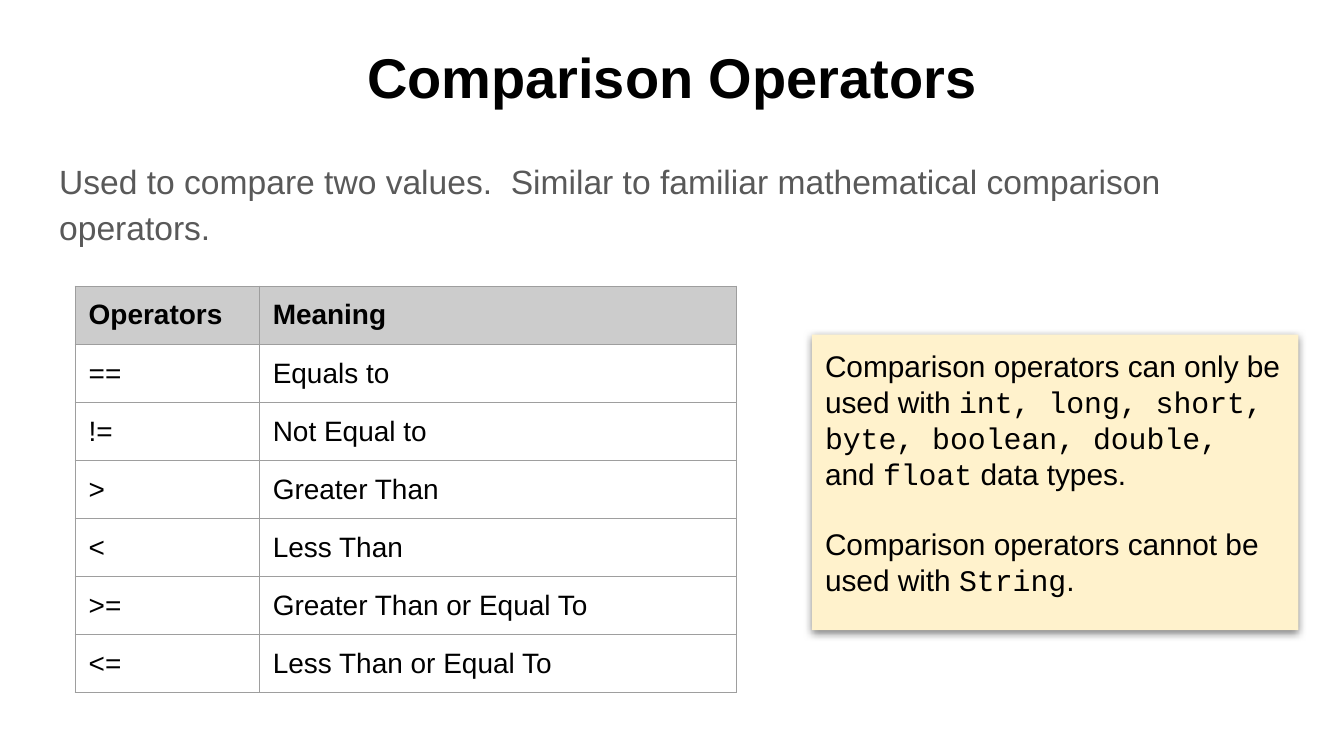
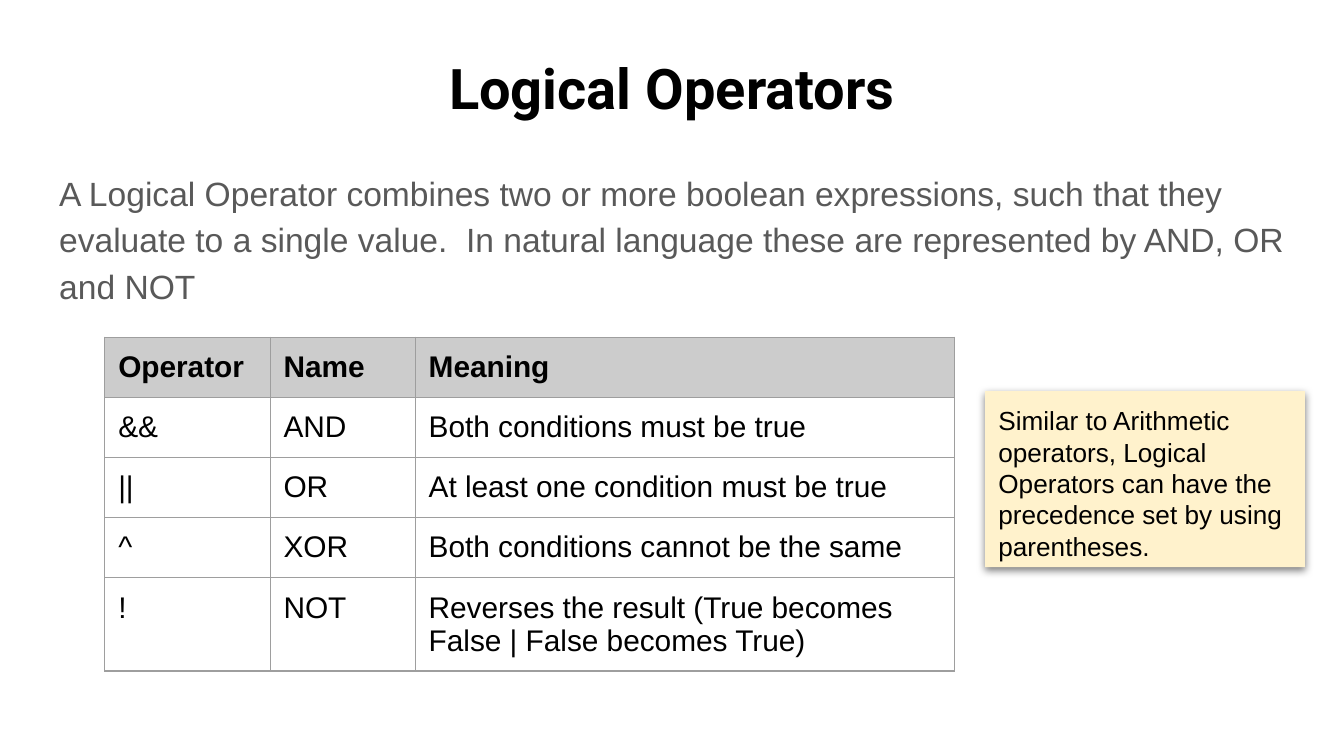
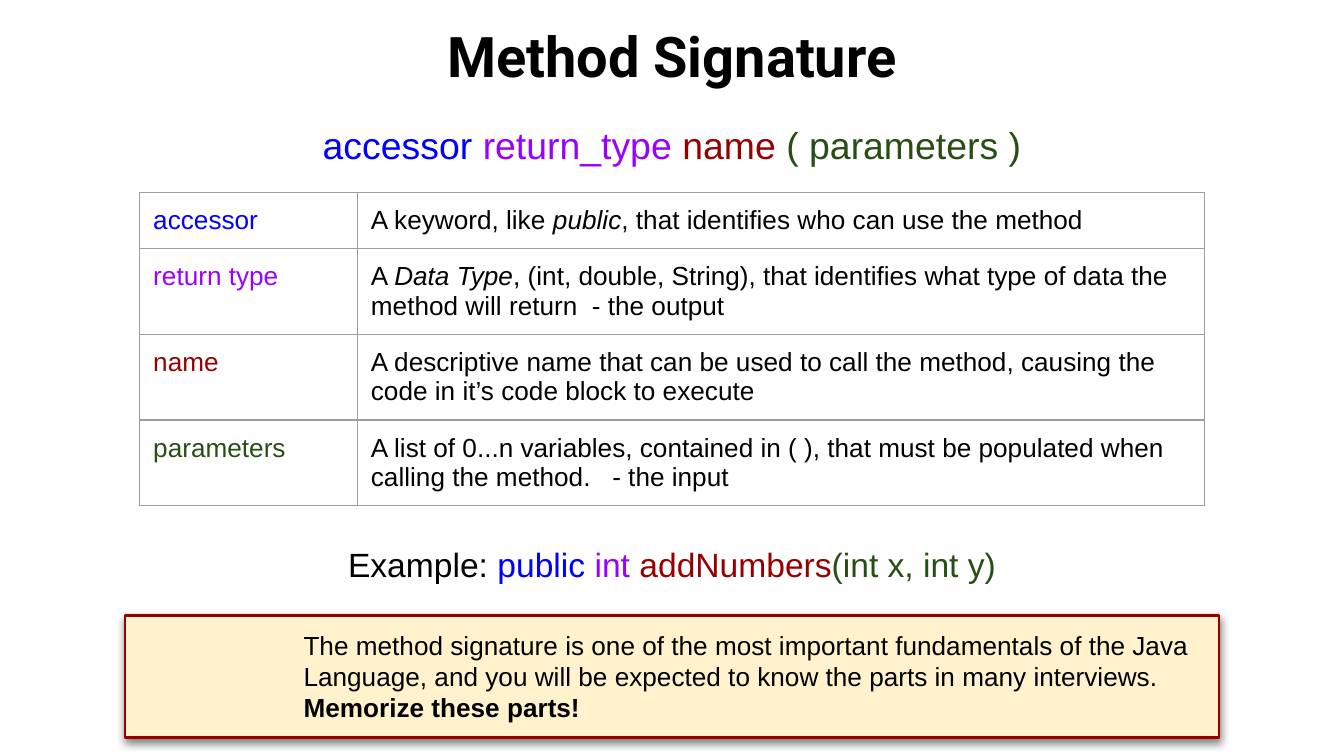
from lxml import etree
from pptx import Presentation
from pptx import util as u
from pptx.dml.color import RGBColor
from pptx.enum import shapes, text
from pptx.oxml import ns

BLACK = RGBColor(0x00, 0x00, 0x00)
GREY = RGBColor(0x59, 0x59, 0x59)
RULE = RGBColor(0x9E, 0x9E, 0x9E)
HEAD = RGBColor(0xCC, 0xCC, 0xCC)
CREAM = RGBColor(0xFF, 0xF2, 0xCC)
BLUE = RGBColor(0x00, 0x00, 0xFF)
PURPLE = RGBColor(0x99, 0x00, 0xFF)
RED = RGBColor(0x98, 0x00, 0x00)
GREEN = RGBColor(0x27, 0x4E, 0x13)

SANS, MONO, ROBOTO = "Arial", "Courier New", "Roboto"
LEFT, WIDTH = 0.34, 9.32
ROW = 0.42
PAD = u.Inches(0.1)
CENTER = text.PP_ALIGN.CENTER


def place(box):
    """Turn a box in inches into lengths."""
    return [u.Inches(side) for side in box]


def code(words):
    """Return a span in the code font."""
    return words, {"name": MONO}


def tint(words, color):
    """Return a span in the given colour."""
    return words, {"color": color}


def slant(words):
    """Return a span in italics."""
    return words, {"italic": True}


def write(para, spans, size, name=SANS, color=BLACK, bold=False):
    """Fill a paragraph with spans, each plain text or text with its style."""
    for span in [spans] if isinstance(spans, str) else spans:
        words, style = (span, {}) if isinstance(span, str) else span
        run = para.add_run()
        run.text = words
        font = run.font
        font.size = u.Pt(size)
        font.name = style.get("name", name)
        font.color.rgb = style.get("color", color)
        font.bold = style.get("bold", bold)
        font.italic = style.get("italic", False)


def frame(shape):
    """Give a shape the shared text margins and return its frame."""
    area = shape.text_frame
    area.word_wrap = True
    area.auto_size = text.MSO_AUTO_SIZE.NONE
    area.vertical_anchor = text.MSO_ANCHOR.TOP
    area.margin_left = area.margin_right = PAD
    area.margin_top = area.margin_bottom = PAD
    return area


def move(shape, box):
    """Move and size a shape to its box."""
    shape.left, shape.top, shape.width, shape.height = place(box)


def start(deck, title, top, name=ROBOTO):
    """Add a slide with its centred title."""
    slide = deck.slides.add_slide(deck.slide_layouts[1])
    move(slide.shapes.title, (LEFT, top, WIDTH, 0.63))
    para = frame(slide.shapes.title).paragraphs[0]
    para.alignment = CENTER
    write(para, title, 30, name, bold=True)
    return slide


def intro(slide, top, height, spans, size=18, color=GREY, align=None):
    """Fill the body placeholder with one paragraph without a bullet."""
    body = slide.placeholders[1]
    move(body, (LEFT, top, WIDTH, height))
    para = frame(body).paragraphs[0]
    props = para._p.get_or_add_pPr()
    props.set("marL", "0")
    props.set("indent", "0")
    etree.SubElement(props, ns.qn("a:buNone"))
    para.alignment = align
    para.line_spacing = 1.15
    para.space_before = u.Pt(0)
    write(para, spans, size, color=color)


def edge(cell):
    """Draw a thin grey border on the four sides of a cell."""
    props = cell._tc.get_or_add_tcPr()
    for side in "LRTB":
        line = etree.SubElement(props, ns.qn(f"a:ln{side}"), w=str(u.Pt(0.75)))
        fill = etree.SubElement(line, ns.qn("a:solidFill"))
        etree.SubElement(fill, ns.qn("a:srgbClr"), val=str(RULE))


def grid(slide, left, top, widths, rows, size, head=True):
    """Add a bordered table, with a grey header row if asked."""
    box = (left, top, sum(widths), ROW * len(rows))
    table = slide.shapes.add_table(len(rows), len(widths), *place(box)).table
    table.first_row = table.horz_banding = False
    for column, width in zip(table.columns, widths):
        column.width = u.Inches(width)
    for r, row in enumerate(rows):
        table.rows[r].height = u.Inches(ROW)
        for c, spans in enumerate(row):
            cell = table.cell(r, c)
            cell.margin_left = cell.margin_right = PAD
            cell.margin_top = cell.margin_bottom = PAD
            edge(cell)
            top_row = head and r == 0
            if top_row:
                cell.fill.solid()
                cell.fill.fore_color.rgb = HEAD
            else:
                cell.fill.background()
            write(cell.text_frame.paragraphs[0], spans, size, bold=top_row)


def shade(shape):
    """Drop a soft shadow straight below a shape."""
    shape.shadow.inherit = False
    effects = shape._element.spPr.find(ns.qn("a:effectLst"))
    drop = etree.SubElement(effects, ns.qn("a:outerShdw"), blurRad=str(u.Pt(4.5)),
                            dist=str(u.Pt(1.5)), dir="5400000", algn="bl", rotWithShape="0")
    color = etree.SubElement(drop, ns.qn("a:srgbClr"), val=str(BLACK))
    etree.SubElement(color, ns.qn("a:alpha"), val="50000")


def card(slide, box, line=None):
    """Add a cream card with a shadow and an optional outline."""
    shape = slide.shapes.add_shape(shapes.MSO_SHAPE.RECTANGLE, *place(box))
    shape.fill.solid()
    shape.fill.fore_color.rgb = CREAM
    if line is None:
        shape.line.fill.background()
    else:
        shape.line.color.rgb = line
        shape.line.width = u.Pt(1.5)
    shade(shape)
    return shape


def note(slide, box, paras, size):
    """Add a card holding left-aligned paragraphs."""
    area = frame(card(slide, box))
    for i, spans in enumerate(paras):
        para = area.add_paragraph() if i else area.paragraphs[0]
        para.alignment = text.PP_ALIGN.LEFT
        if i:
            para.space_before = u.Pt(size * 1.15)
        write(para, spans, size)


def label(slide, box, spans, size, align=None, spacing=None):
    """Add a text box of one paragraph."""
    para = frame(slide.shapes.add_textbox(*place(box))).paragraphs[0]
    para.alignment = align
    para.line_spacing = spacing
    write(para, spans, size)


def compare(deck):
    """Build the slide on comparison operators."""
    slide = start(deck, "Comparison Operators", 0.22, SANS)
    intro(slide, 1.05, 0.87, "Used to compare two values.  Similar to familiar "
          "mathematical comparison operators.")
    grid(slide, 0.56, 2.13, (1.37, 3.55), [
        ("Operators", "Meaning"),
        ("==", "Equals to"),
        ("!=", "Not Equal to"),
        (">", "Greater Than"),
        ("<", "Less Than"),
        (">=", "Greater Than or Equal To"),
        ("<=", "Less Than or Equal To"),
    ], 15)
    note(slide, (6.04, 2.49, 3.62, 2.2), [
        ["Comparison operators can only be used with ",
         code("int, long, short, byte, boolean, double, "),
         "and ", code("float"), " data types."],
        ["Comparison operators cannot be used with ", code("String"), "."],
    ], 16)


def logic(deck):
    """Build the slide on logical operators."""
    slide = start(deck, "Logical Operators", 0.3)
    intro(slide, 1.14, 1.19, "A Logical Operator combines two or more boolean expressions, "
          "such that they evaluate to a single value.  In natural language these are "
          "represented by AND, OR and NOT")
    grid(slide, 0.78, 2.51, (1.23, 1.08, 4.01), [
        ("Operator", "Name", "Meaning"),
        ("&&", "AND", "Both conditions must be true"),
        ("||", "OR", "At least one condition must be true"),
        ("^", "XOR", "Both conditions cannot be the same"),
        ("!", "NOT", "Reverses the result (True becomes False | False becomes True)"),
    ], 16)
    note(slide, (7.33, 2.91, 2.38, 1.31), [
        "Similar to Arithmetic operators, Logical Operators can have the precedence "
        "set by using parentheses.",
    ], 14)


def method(deck):
    """Build the slide on the parts of a method signature."""
    slide = start(deck, "Method Signature", 0.06)
    intro(slide, 0.76, 3.23, [
        tint("accessor ", BLUE), tint("return_type ", PURPLE),
        tint("name ", RED), tint("( parameters )", GREEN),
    ], 20, align=CENTER)
    grid(slide, 1.04, 1.43, (1.62, 6.3), [
        ([tint("accessor", BLUE)],
         ["A keyword, like ", slant("public"), ", that identifies who can use the method"]),
        ([tint("return type", PURPLE)],
         ["A ", slant("Data Type"), ", (int, double, String), that identifies what type "
          "of data the method will return  - the output"]),
        ([tint("name", RED)],
         "A descriptive name that can be used to call the method, causing the code in "
         "it’s code block to execute"),
        ([tint("parameters", GREEN)],
         "A list of 0...n variables, contained in ( ), that must be populated when "
         "calling the method.   - the input"),
    ], 14, head=False)
    card(slide, (0.93, 4.58, 8.14, 0.91), RED)
    label(slide, (2.16, 4.58, 6.85, 0.91), [
        "The method signature is one of the most important fundamentals of the Java "
        "Language, and you will be expected to know the parts in many interviews. ",
        ("Memorize these parts!", {"bold": True}),
    ], 14)
    label(slide, (0.99, 3.9, 8.02, 0.5), [
        "Example: ", tint("public ", BLUE), tint("int ", PURPLE),
        tint("addNumbers", RED), tint("(int x, int y)", GREEN),
    ], 18, CENTER, 1.15)


def main():
    """Build and save the widescreen deck."""
    deck = Presentation()
    deck.slide_width = u.Inches(10)
    deck.slide_height = u.Inches(10 * 9 / 16)
    for build in (compare, logic, method):
        build(deck)
    deck.save("out.pptx")


if __name__ == "__main__":
    main()
